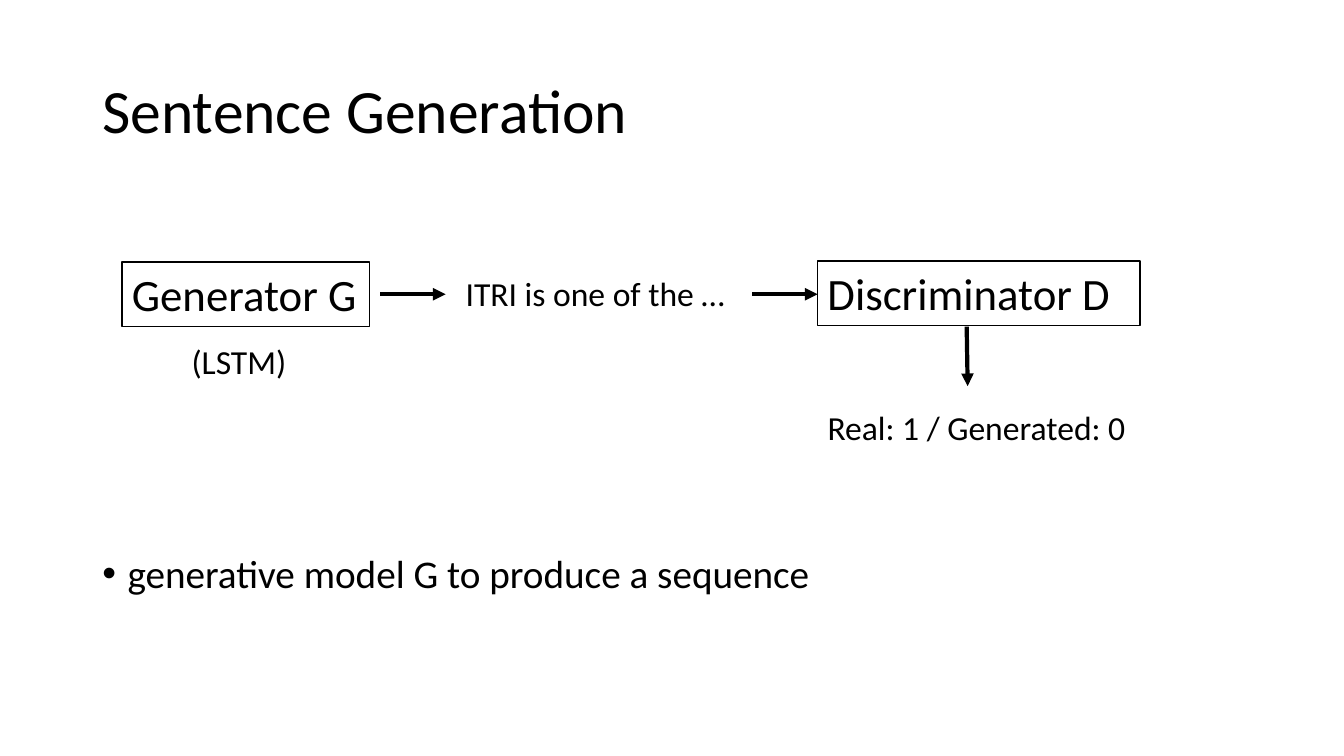
import pptx
import pptx.util
import pptx.dml.color
import pptx.enum.shapes
import pptx.enum.text
import pptx.oxml.ns
import lxml.etree

Pt = pptx.util.Pt
INK = "000000"
PAPER = "FFFFFF"


def shade(code):
    """Turn a hex string into a colour."""
    return pptx.dml.color.RGBColor.from_string(code)


def add(node, tag, **attrs):
    """Append a drawing element to an XML node."""
    return lxml.etree.SubElement(node, pptx.oxml.ns.qn(tag), attrs)


def write(slide, box, text, size=24, middle=False, frame=False, bullet=False,
          wrap=True, space=None):
    """Place text in a box, with an optional frame or bullet."""
    place = [Pt(n) for n in box]
    if frame:
        kind = pptx.enum.shapes.MSO_SHAPE.RECTANGLE
        shape = slide.shapes.add_shape(kind, *place)
        shape.shadow.inherit = False
        shape.fill.solid()
        shape.fill.fore_color.rgb = shade(PAPER)
        shape.line.color.rgb = shade(INK)
        shape.line.width = Pt(1)
    else:
        shape = slide.shapes.add_textbox(*place)
    body = shape.text_frame
    body.word_wrap = wrap
    anchor = pptx.enum.text.MSO_ANCHOR
    body.vertical_anchor = anchor.MIDDLE if middle else anchor.TOP
    para = body.paragraphs[0]
    para.alignment = pptx.enum.text.PP_ALIGN.LEFT
    if space:
        para.line_spacing = space
    if bullet:
        props = para._p.get_or_add_pPr()
        props.set("marL", str(Pt(18)))
        props.set("indent", str(-Pt(18)))
        add(props, "a:buFont", typeface="Arial")
        add(props, "a:buChar", char="•")
    run = para.add_run()
    run.text = text
    run.font.name = "Calibri"
    run.font.size = Pt(size)
    run.font.color.rgb = shade(INK)


def arrow(slide, x, y, dx, dy):
    """Draw a thick arrow from a point by an offset."""
    kind = pptx.enum.shapes.MSO_CONNECTOR.STRAIGHT
    line = slide.shapes.add_connector(kind, Pt(x), Pt(y), Pt(x + dx), Pt(y + dy))
    line.line.color.rgb = shade(INK)
    line.line.width = Pt(3)
    add(line.line._get_or_add_ln(), "a:tailEnd", type="triangle")
    add(line._element.spPr, "a:effectLst")


def flow(slide, box):
    """Lay out the generator, its sentence and the discriminator."""
    x, y, wide, high = box
    tall, judge = 46, 230.4
    right = x + wide - judge
    write(slide, (x, y + 0.6, 177, tall), "Generator G", size=32, frame=True, wrap=False)
    write(slide, (x + 42.5, y + 53.3, 93, 36), "(LSTM)")
    write(slide, (x + 238.3, y + 5, 212.4, 36), "ITRI is one of the …")
    write(slide, (right, y, judge, tall), "Discriminator D", size=32, frame=True)
    for start in (x + 184.3, right - 46.8):
        arrow(slide, start, y + 23.7, 46.8, 0)
    arrow(slide, right + 106.5, y + tall + 0.8, 0.7, 42.5)
    write(slide, (right, y + high - 36, 242, 36), "Real: 1 / Generated: 0")


def main():
    """Build the slide and save it."""
    deck = pptx.Presentation()
    deck.slide_width, deck.slide_height = Pt(960), Pt(540)
    slide = deck.slides.add_slide(deck.slide_layouts[6])
    write(slide, (66, 28.8, 828, 104.4), "Sentence Generation", size=44,
          middle=True, space=0.9)
    flow(slide, (87.2, 186.5, 727.2, 136.8))
    write(slide, (66, 392.4, 853.2, 93.6), "generative model G to produce a sequence",
          size=28, bullet=True, space=0.9)
    deck.save("out.pptx")


if __name__ == "__main__":
    main()
